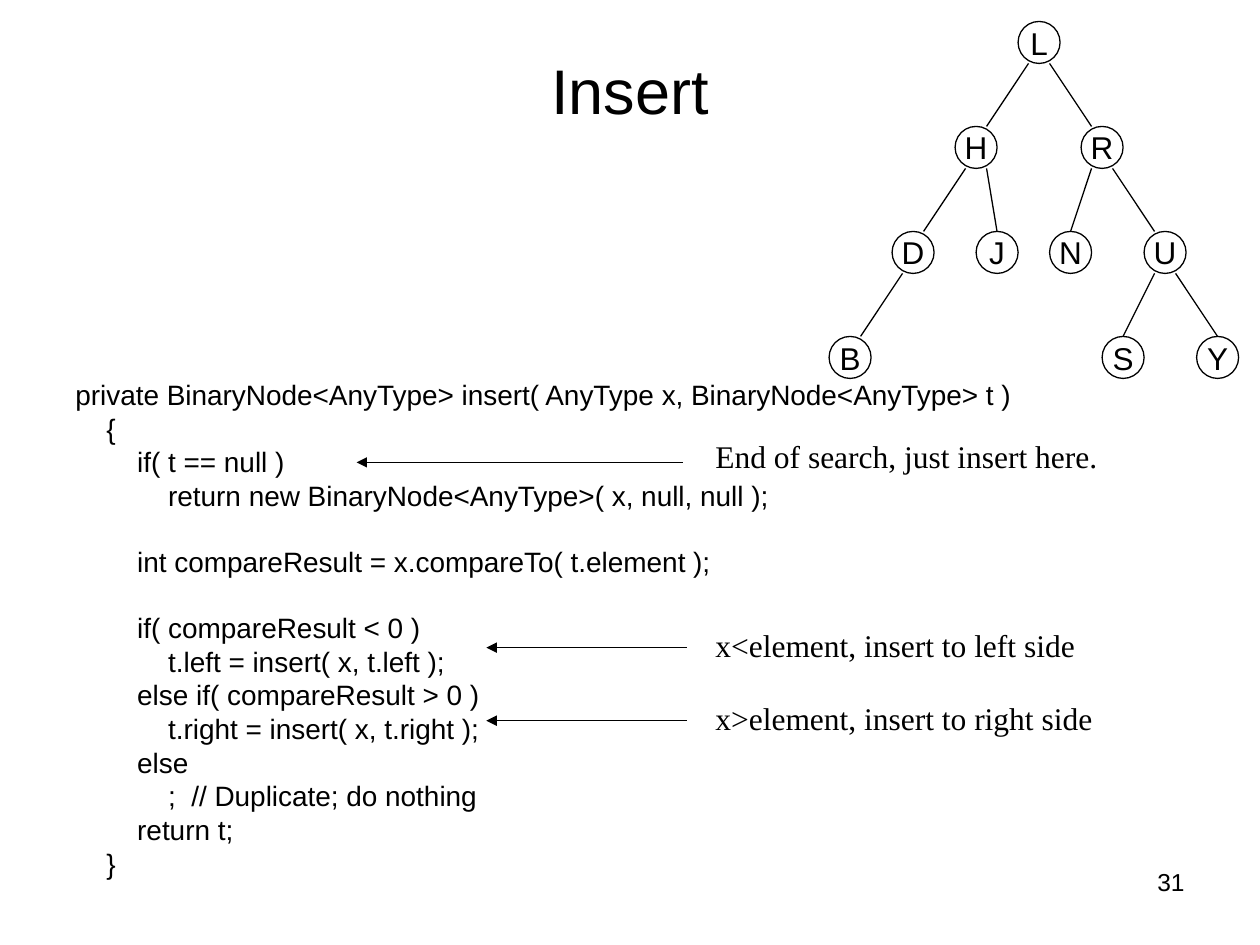
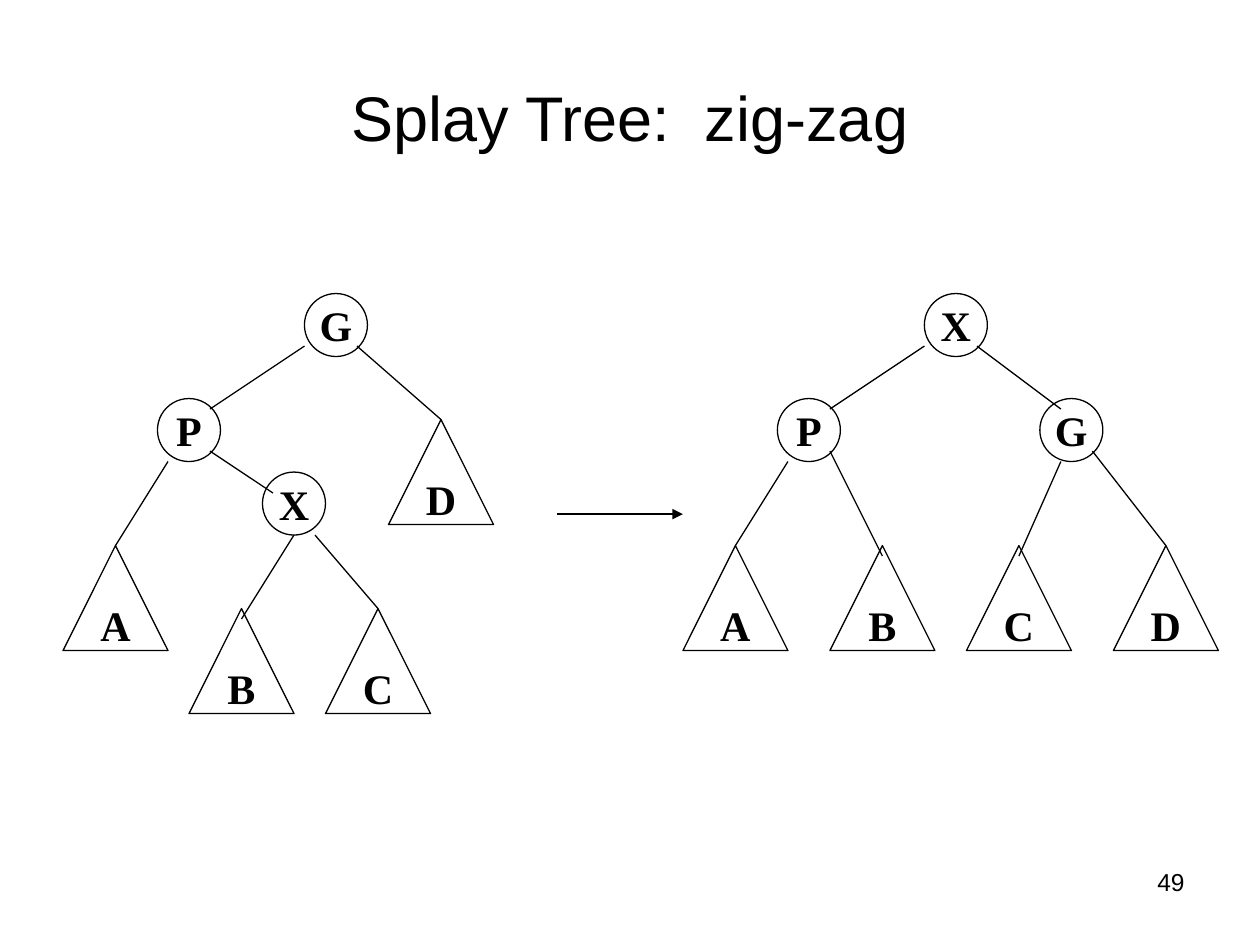
import dataclasses

import lxml.etree
import pptx
import pptx.dml.color
import pptx.enum.shapes
import pptx.enum.text
import pptx.oxml.ns
import pptx.util

Inches = pptx.util.Inches
Pt = pptx.util.Pt
Align = pptx.enum.text.PP_ALIGN
Anchor = pptx.enum.text.MSO_ANCHOR
Kind = pptx.enum.shapes.MSO_SHAPE


@dataclasses.dataclass(frozen=True)
class Theme:
    """Hold the colours, fonts and sizes of the slides."""
    ink: str = "000000"
    sans: str = "Arial"
    serif: str = "Times New Roman"
    title: int = 36
    node: int = 24
    note: int = 18
    code: int = 16
    foot: int = 14
    line: float = 0.75
    lead: float = 0.8
    gap: float = 3.85
    skip: float = 22.4
    unit: float = 1 / 12


LOOK = Theme()

CODE = """private BinaryNode<AnyType> insert( AnyType x, BinaryNode<AnyType> t )
    {
        if( t == null )
            return new BinaryNode<AnyType>( x, null, null );

        int compareResult = x.compareTo( t.element );

        if( compareResult < 0 )
            t.left = insert( x, t.left );
        else if( compareResult > 0 )
            t.right = insert( x, t.right );
        else
            ;  // Duplicate; do nothing
        return t;
    }"""

NOTES = [
    ("End of search, just insert here.", 3.42, 3.24, (5.42, 3.67), 2.83),
    ("x<element, insert to left side", 4.92, 3.06, (5.45, 5.14), 3.86),
    ("x>element, insert to right side", 5.5, 3.2, (5.45, 5.72), 3.86),
]

SEARCH = {
    "nodes": [("L", 18, 0), ("H", 12, 10), ("R", 24, 10), ("D", 6, 20),
              ("J", 14, 20), ("N", 21, 20), ("U", 30, 20), ("S", 26, 30),
              ("Y", 35, 30), ("B", 0, 30)],
    "edges": [(19, 4, 15, 10), (13, 14, 9, 20), (7, 24, 3, 30),
              (21, 4, 25, 10), (27, 14, 31, 20), (33, 24, 37, 30),
              (15, 14, 16, 20), (25, 14, 23, 20), (31, 24, 28, 30)],
}
BEFORE = {
    "nodes": [("G", 23, 0), ("X", 19, 17), ("P", 9, 10)],
    "leaves": [("A", 0, 24), ("B", 12, 30), ("C", 25, 30), ("D", 31, 12)],
    "edges": [(23, 5, 14, 11), (10, 16, 5, 24), (14, 15, 20, 19),
              (22, 23, 17, 31), (24, 23, 30, 30), (28, 5, 36, 12)],
}
AFTER = {
    "nodes": [("X", 23, 0), ("G", 34, 10), ("P", 9, 10)],
    "leaves": [("A", 0, 24), ("B", 14, 24), ("C", 27, 24), ("D", 41, 24)],
    "edges": [(23, 5, 14, 11), (10, 16, 5, 24), (14, 15, 19, 25),
              (36, 16, 32, 25), (28, 5, 36, 11), (39, 15, 46, 24)],
}


def write(shape, text, size, font=LOOK.sans, bold=False, align=Align.LEFT,
          anchor=Anchor.TOP, wrap=True, lead=None, gap=0, skip=0):
    """Fill a shape with text, turning each empty line into space."""
    frame = shape.text_frame
    frame.word_wrap = wrap
    frame.vertical_anchor = anchor
    part, space = frame.paragraphs[0], 0
    for count, line in enumerate(text.split("\n")):
        if not line:
            space = skip
            continue
        if count:
            part = frame.add_paragraph()
        part.alignment = align
        part.line_spacing = lead
        part.space_before = Pt(space)
        run = part.add_run()
        run.text = line
        run.font.name = font
        run.font.size = Pt(size)
        run.font.bold = bold
        run.font.color.rgb = pptx.dml.color.RGBColor.from_string(LOOK.ink)
        space = gap


def label(slide, box, text, size, **form):
    """Add a text box."""
    write(slide.shapes.add_textbox(*map(Inches, box)), text, size, **form)


def stroke(line):
    """Set the shared outline."""
    line.color.rgb = pptx.dml.color.RGBColor.from_string(LOOK.ink)
    line.width = Pt(LOOK.line)


def join(slide, start, end, arrow=False):
    """Draw a straight line, with an arrowhead at its end if asked."""
    link = slide.shapes.add_connector(
        pptx.enum.shapes.MSO_CONNECTOR.STRAIGHT, *map(Inches, (*start, *end)))
    stroke(link.line)
    props = link.element.spPr
    if arrow:
        lxml.etree.SubElement(props.find(pptx.oxml.ns.qn("a:ln")),
                              pptx.oxml.ns.qn("a:tailEnd"), type="triangle")
    lxml.etree.SubElement(props, pptx.oxml.ns.qn("a:effectLst"))


def node(slide, kind, spot, side, text, **form):
    """Draw one lettered node."""
    shape = slide.shapes.add_shape(kind, *map(Inches, (*spot, side, side)))
    shape.shadow.inherit = False
    shape.fill.background()
    stroke(shape.line)
    write(shape, text, align=Align.CENTER, anchor=Anchor.MIDDLE,
          wrap=False, **form)


def tree(slide, left, top, data, side, **form):
    """Draw a tree on a grid of twelfths from its top left corner."""
    def place(col, row):
        """Turn a grid point into inches."""
        return left + col * LOOK.unit, top + row * LOOK.unit

    for kind, group, span in ((Kind.OVAL, "nodes", side),
                              (Kind.ISOSCELES_TRIANGLE, "leaves", 10)):
        for text, col, row in data.get(group, []):
            node(slide, kind, place(col, row), span * LOOK.unit, text, **form)
    for edge in data["edges"]:
        join(slide, place(*edge[:2]), place(*edge[2:]))


def frame(deck, title, box, page):
    """Add a slide with its title and page number."""
    slide = deck.slides.add_slide(deck.slide_layouts[6])
    label(slide, (7.17, 6.83, 2.33, 0.52), page, LOOK.foot, align=Align.RIGHT)
    label(slide, box, title, LOOK.title, align=Align.CENTER,
          anchor=Anchor.MIDDLE)
    return slide


def insert(deck):
    """Build the slide on insertion."""
    slide = frame(deck, "Insert", (0.75, 0.25, 8.5, 0.92), "31")
    label(slide, (0.5, 3, 9, 4.25), CODE, LOOK.code, lead=LOOK.lead,
          gap=LOOK.gap, skip=LOOK.skip)
    for text, top, width, start, tip in NOTES:
        join(slide, start, (tip, start[1]), arrow=True)
        label(slide, (5.58, top, width, 0.4), text, LOOK.note,
              font=LOOK.serif, wrap=False)
    tree(slide, 6.58, 0.17, SEARCH, 4, size=LOOK.note)


def splay(deck):
    """Build the slide on the zig-zag step."""
    slide = frame(deck, "Splay Tree:  zig-zag", (0.5, 0.3, 9, 1.25), "49")
    for left, data in ((0.5, BEFORE), (5.42, AFTER)):
        tree(slide, left, 2.33, data, 6, size=LOOK.node, font=LOOK.serif,
             bold=True)
    join(slide, (4.42, 4.08), (5.42, 4.08), arrow=True)


def main():
    """Build and save the deck."""
    deck = pptx.Presentation()
    deck.slide_width, deck.slide_height = Inches(10), Inches(7.5)
    insert(deck)
    splay(deck)
    deck.save("out.pptx")


if __name__ == "__main__":
    main()
